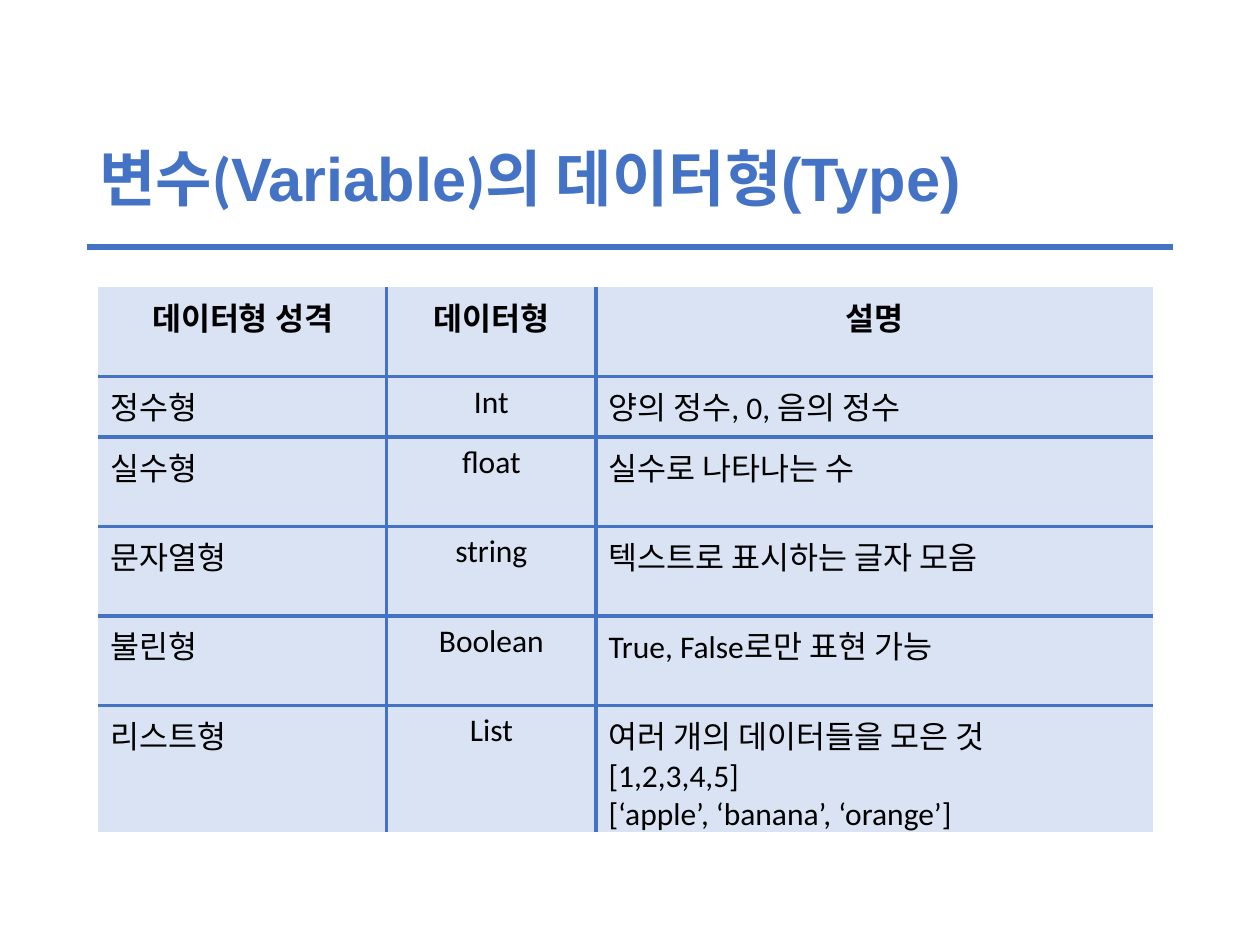
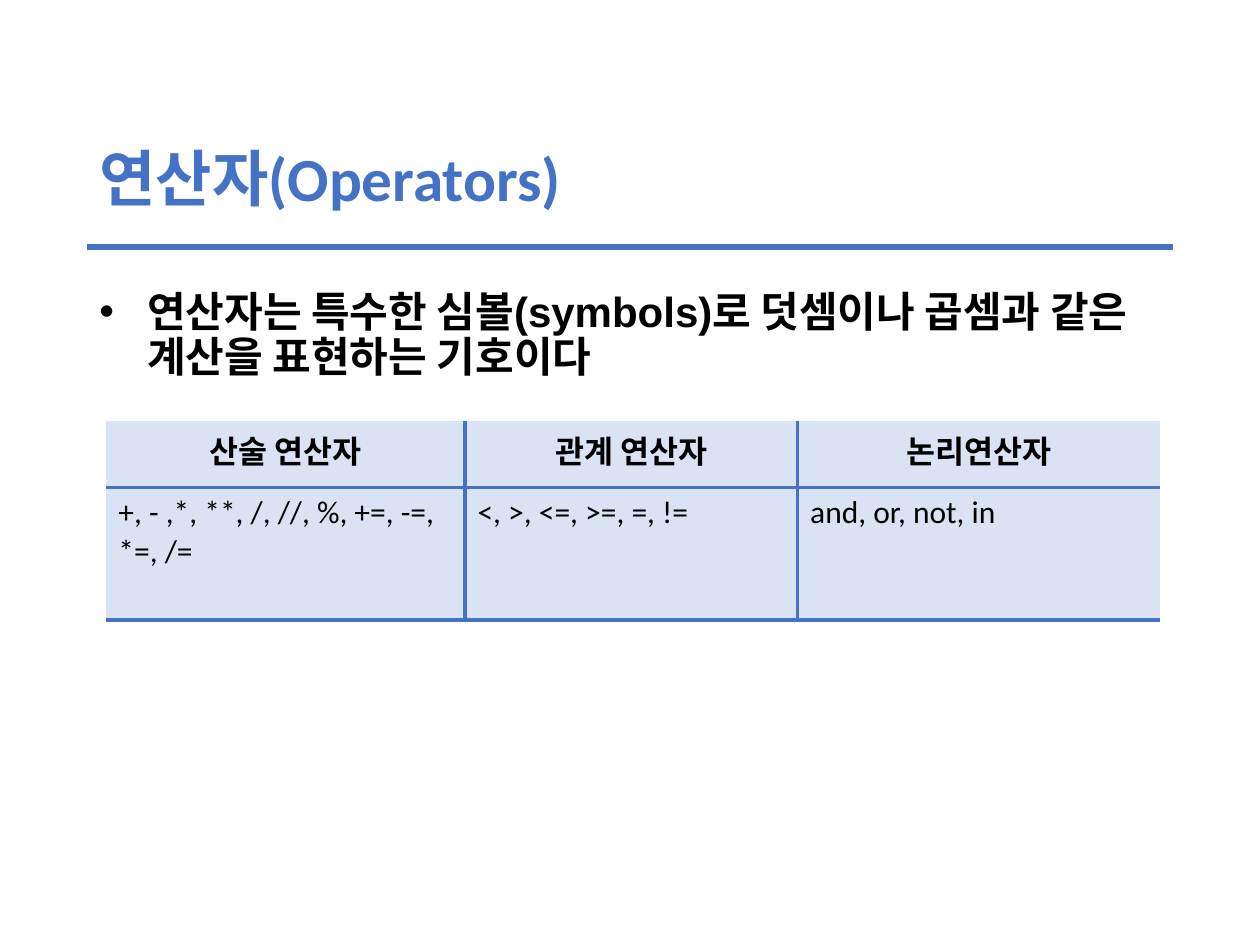
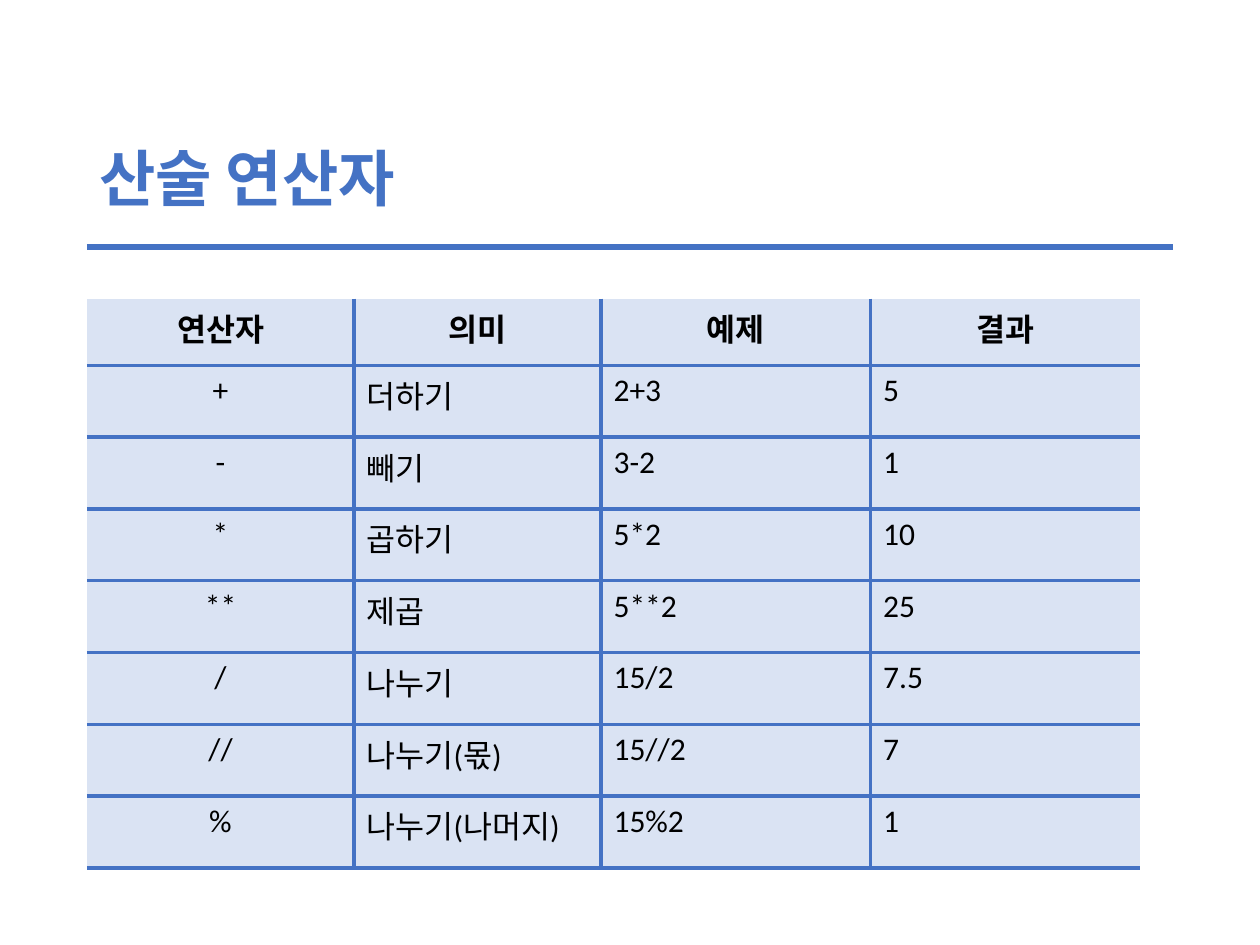
from dataclasses import dataclass
from typing import Optional

from lxml.etree import SubElement
from pptx import Presentation
from pptx.dml.color import RGBColor
from pptx.enum.shapes import MSO_CONNECTOR
from pptx.enum.text import MSO_ANCHOR, PP_ALIGN
from pptx.oxml.ns import qn
from pptx.slide import Slide
from pptx.table import _Cell
from pptx.text.text import TextFrame, _Paragraph
from pptx.util import Inches, Pt

COLORS = {"accent": "4472C4", "cell": "DAE3F3", "text": "000000"}
HEADING_FONT = "Arial"
BASE_FONT = "Calibri"
CONTENT_LEFT = 0.69
CONTENT_WIDTH = 8.62
RULE_TOP = 1.96
BORDER_WIDTH = Pt(2.25)
PLAIN_TABLE_STYLE = "{2D5ABB26-0587-4C30-8999-92F81FD0307C}"


@dataclass(frozen=True)
class TextRun:
    text: str
    font: str = BASE_FONT


@dataclass(frozen=True)
class Grid:
    left: float
    top: float
    columns: tuple[float, ...]
    heights: tuple[float, ...]
    rows: tuple[tuple[str, ...], ...]
    centered_column: Optional[int] = None
    bottom_border: bool = True


@dataclass(frozen=True)
class Lesson:
    title: tuple[TextRun, ...]
    grid: Grid
    statement: Optional[str] = None


LESSONS = (
    Lesson(
        title=(
            TextRun("변수("),
            TextRun("Variable", HEADING_FONT),
            TextRun(")의 데이터형"),
            TextRun("(Type)", HEADING_FONT),
        ),
        grid=Grid(
            left=0.78,
            top=2.28,
            columns=(2.29, 1.66, 4.42),
            heights=(0.71, 0.48) + (0.71,) * 4,
            rows=(
                ("데이터형 성격", "데이터형", "설명"),
                ("정수형", "Int", "양의 정수, 0, 음의 정수"),
                ("실수형", "float", "실수로 나타나는 수"),
                ("문자열형", "string", "텍스트로 표시하는 글자 모음"),
                ("불린형", "Boolean", "True, False로만 표현 가능"),
                (
                    "리스트형",
                    "List",
                    "여러 개의 데이터들을 모은 것\n[1,2,3,4,5]\n[‘apple’, ‘banana’, ‘orange’]",
                ),
            ),
            centered_column=1,
            bottom_border=False,
        ),
    ),
    Lesson(
        title=(TextRun("연산자(Operators)"),),
        statement="연산자는 특수한 심볼(symbols)로 덧셈이나 곱셈과 같은 계산을 표현하는 기호이다",
        grid=Grid(
            left=0.84,
            top=3.34,
            columns=(2.85, 2.64, 2.88),
            heights=(0.53, 1.05),
            rows=(
                ("산술 연산자", "관계 연산자", "논리연산자"),
                (
                    "+, - ,*, **, /, //, %, +=, -=, *=, /=",
                    "<, >, <=, >=, =, !=",
                    "and, or, not, in",
                ),
            ),
        ),
    ),
    Lesson(
        title=(TextRun("산술 연산자"),),
        grid=Grid(
            left=0.69,
            top=2.37,
            columns=(2.12, 1.96, 2.14, 2.14),
            heights=(0.53,) + (0.57,) * 7,
            rows=(
                ("연산자", "의미", "예제", "결과"),
                ("+", "더하기", "2+3", "5"),
                ("-", "빼기", "3-2", "1"),
                ("*", "곱하기", "5*2", "10"),
                ("**", "제곱", "5**2", "25"),
                ("/", "나누기", "15/2", "7.5"),
                ("//", "나누기(몫)", "15//2", "7"),
                ("%", "나누기(나머지)", "15%2", "1"),
            ),
            centered_column=0,
        ),
    ),
)


def add_run(
    paragraph: _Paragraph, content: TextRun, size: float, color: str, bold: bool
) -> None:
    run = paragraph.add_run()
    run.text = content.text
    run.font.name = content.font
    run.font.size = Pt(size)
    run.font.bold = bold
    run.font.color.rgb = RGBColor.from_string(COLORS[color])


def add_text_frame(slide: Slide, top: float, height: float) -> TextFrame:
    frame = slide.shapes.add_textbox(
        Inches(CONTENT_LEFT), Inches(top), Inches(CONTENT_WIDTH), Inches(height)
    ).text_frame
    frame.word_wrap = True
    frame.paragraphs[0].line_spacing = 0.9
    return frame


def add_title(slide: Slide, title: tuple[TextRun, ...]) -> None:
    frame = add_text_frame(slide, 0.72, 1.45)
    frame.vertical_anchor = MSO_ANCHOR.MIDDLE
    for content in title:
        add_run(frame.paragraphs[0], content, 35, "accent", True)


def add_title_rule(slide: Slide) -> None:
    rule = slide.shapes.add_connector(
        MSO_CONNECTOR.STRAIGHT,
        Inches(CONTENT_LEFT),
        Inches(RULE_TOP),
        Inches(CONTENT_LEFT + CONTENT_WIDTH),
        Inches(RULE_TOP),
    )
    rule.line.color.rgb = RGBColor.from_string(COLORS["accent"])
    rule.line.width = Pt(3)
    SubElement(rule._element.spPr, qn("a:effectLst"))


def add_statement(slide: Slide, statement: str) -> None:
    paragraph = add_text_frame(slide, 2.26, 4.76).paragraphs[0]
    paragraph.space_before = Pt(10)
    properties = paragraph._p.get_or_add_pPr()
    properties.set("marL", str(Inches(0.38)))
    properties.set("indent", str(-Inches(0.38)))
    SubElement(properties, qn("a:buFont"), typeface=HEADING_FONT)
    SubElement(properties, qn("a:buChar"), char="•")
    add_run(paragraph, TextRun(statement, HEADING_FONT), 24, "text", True)


def add_borders(cell: _Cell, sides: dict[str, bool]) -> None:
    properties = cell._tc.get_or_add_tcPr()
    for side, shown in sides.items():
        if shown:
            border = SubElement(properties, qn(f"a:ln{side}"), w=str(BORDER_WIDTH))
            fill = SubElement(border, qn("a:solidFill"))
            SubElement(fill, qn("a:srgbClr"), val=COLORS["accent"])


def fill_cell(cell: _Cell, text: str, bold: bool, centered: bool) -> None:
    cell.fill.solid()
    cell.fill.fore_color.rgb = RGBColor.from_string(COLORS["cell"])
    frame = cell.text_frame
    for index, line in enumerate(text.split("\n")):
        paragraph = frame.add_paragraph() if index else frame.paragraphs[0]
        paragraph.alignment = PP_ALIGN.CENTER if centered else PP_ALIGN.LEFT
        add_run(paragraph, TextRun(line), 18, "text", bold)


def add_grid(slide: Slide, grid: Grid) -> None:
    table = slide.shapes.add_table(
        len(grid.rows),
        len(grid.columns),
        Inches(grid.left),
        Inches(grid.top),
        Inches(sum(grid.columns)),
        Inches(sum(grid.heights)),
    ).table
    table.first_row = False
    table.horz_banding = False
    table._tbl.tblPr.find(qn("a:tableStyleId")).text = PLAIN_TABLE_STYLE
    for column, width in zip(table.columns, grid.columns):
        column.width = Inches(width)
    for row, height in zip(table.rows, grid.heights):
        row.height = Inches(height)

    last_row = len(grid.rows) - 1
    last_column = len(grid.columns) - 1
    for r, texts in enumerate(grid.rows):
        for c, text in enumerate(texts):
            cell = table.cell(r, c)
            add_borders(
                cell,
                {
                    "L": c > 0,
                    "R": c < last_column,
                    "T": r > 0,
                    "B": r < last_row or grid.bottom_border,
                },
            )
            is_header = r == 0
            fill_cell(cell, text, is_header, is_header or c == grid.centered_column)


def main() -> None:
    presentation = Presentation()
    presentation.slide_width = Inches(10)
    presentation.slide_height = Inches(7.5)
    for lesson in LESSONS:
        slide = presentation.slides.add_slide(presentation.slide_layouts[6])
        add_title_rule(slide)
        add_title(slide, lesson.title)
        if lesson.statement:
            add_statement(slide, lesson.statement)
        add_grid(slide, lesson.grid)
    presentation.save("out.pptx")


if __name__ == "__main__":
    main()
